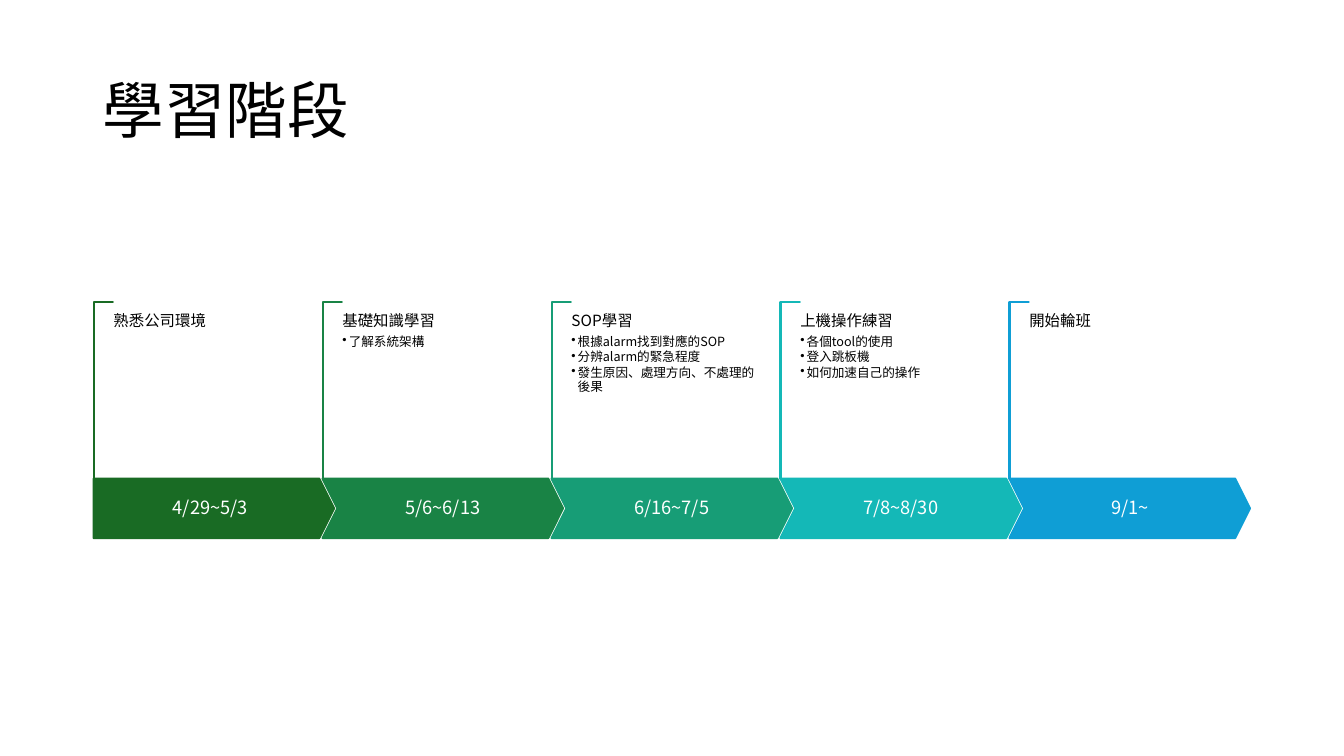
from dataclasses import dataclass

from lxml.etree import SubElement
from pptx import Presentation
from pptx.dml.color import RGBColor
from pptx.enum.shapes import MSO_SHAPE as SHAPE
from pptx.enum.text import MSO_ANCHOR as ANCHOR, MSO_AUTO_SIZE as AUTO, PP_ALIGN as ALIGN
from pptx.oxml.ns import qn
from pptx.util import Cm, Pt

TITLE = "學習階段"
STAGES = [
    ("4/29~5/3", "熟悉公司環境", []),
    ("5/6~6/13", "基礎知識學習", ["了解系統架構"]),
    ("6/16~7/5", "SOP學習",
     ["根據alarm找到對應的SOP", "分辨alarm的緊急程度", "發生原因、處理方向、不處理的後果"]),
    ("7/8~8/30", "上機操作練習", ["各個tool的使用", "登入跳板機", "如何加速自己的操作"]),
    ("9/1~", "開始輪班", []),
]


@dataclass(frozen=True)
class Theme:
    font: str = "Noto Sans CJK TC"
    last_font: str = "Lato"
    text: str = "000000"
    light: str = "FFFFFF"
    stages: tuple = ("196B24", "198345", "179D76", "14B8B7", "0F9ED5")
    title: int = 44
    date: int = 13
    heading: int = 11
    bullet: int = 9
    line: float = 1.5


THEME = Theme()

# Lengths in centimetres
LEFT, STEP = 2.36, 5.77
BAR_TOP, BAR_W, BAR_H = 12.06, 6.06, 1.5
CHEVRON_INSET = 0.37
BRACKET_TOP, BRACKET_W, BRACKET_H = 7.61, 0.48, 4.47
NOTE_LEFT, NOTE_TOP, NOTE_W, NOTE_H = 0.5, 7.9, 4.92, 2.77
HANG = 0.16


def write(tf, text, *, size, color=THEME.text, font=THEME.font,
          align=ALIGN.LEFT, after=0, bullet=False):
    """Fill the empty first paragraph, or append a new one."""
    p = tf.paragraphs[0] if not tf.text else tf.add_paragraph()
    p.alignment, p.line_spacing, p.space_after = align, 0.9, Pt(after)
    if bullet:
        p.level = 1
        pPr = p._p.get_or_add_pPr()
        pPr.set("marL", str(Cm(HANG)))
        pPr.set("indent", str(-Cm(HANG)))
        SubElement(pPr, qn("a:buChar")).set("char", "•")
    r = p.add_run()
    r.text = text
    r.font.size, r.font.name = Pt(size), font
    r.font.color.rgb = RGBColor.from_string(color)
    SubElement(r._r.get_or_add_rPr(), qn("a:ea")).set("typeface", font)


def add_box(slide, x, y, w, h, anchor=ANCHOR.TOP, pad_x=0, pad_y=0):
    tf = slide.shapes.add_textbox(Cm(x), Cm(y), Cm(w), Cm(h)).text_frame
    tf.word_wrap, tf.vertical_anchor = True, anchor
    tf.margin_left = tf.margin_right = Cm(pad_x)
    tf.margin_top = tf.margin_bottom = Cm(pad_y)
    return tf


def add_shape(slide, kind, x, y, w, h, fill, line, adjust):
    sp = slide.shapes.add_shape(kind, Cm(x), Cm(y), Cm(w), Cm(h))
    sp.shadow.inherit = False
    sp.fill.solid()
    sp.fill.fore_color.rgb = RGBColor.from_string(fill)
    sp.line.color.rgb = RGBColor.from_string(line)
    sp.line.width = Pt(THEME.line)
    for i in range(len(sp.adjustments)):
        sp.adjustments[i] = adjust
    return sp


def add_bracket(slide, x, color):
    """Draw an L shape turned a quarter, so it is placed around its centre."""
    shift = (BRACKET_H - BRACKET_W) / 2
    sp = add_shape(slide, SHAPE.CORNER, x - shift, BRACKET_TOP + shift,
                   BRACKET_H, BRACKET_W, THEME.light, color, 0.01)
    sp.rotation = 90


def add_stage(slide, i, date, heading, bullets):
    x, color = LEFT + i * STEP, THEME.stages[i]
    first, last = i == 0, i == len(STAGES) - 1
    add_bracket(slide, x, color)
    add_shape(slide, SHAPE.PENTAGON if first else SHAPE.CHEVRON,
              x, BAR_TOP, BAR_W, BAR_H, color, color, 0.25)

    inset = 0 if first else CHEVRON_INSET
    width = BAR_W - (CHEVRON_INSET / 2 if first else 2 * CHEVRON_INSET)
    tf = add_box(slide, x + inset, BAR_TOP, width, BAR_H, ANCHOR.MIDDLE, 0.23, 0.46)
    write(tf, date, size=THEME.date, color=THEME.light, align=ALIGN.CENTER)

    tf = add_box(slide, x + NOTE_LEFT, NOTE_TOP, NOTE_W, NOTE_H)
    write(tf, heading, size=THEME.heading, after=3.85,
          font=THEME.last_font if last else THEME.font)
    for text in bullets:
        write(tf, text, size=THEME.bullet, after=1.35, bullet=True)


def main():
    prs = Presentation()
    prs.slide_width, prs.slide_height = Cm(33.87), Cm(19.05)
    slide = prs.slides.add_slide(prs.slide_layouts[5])

    title = slide.shapes.title
    title.left, title.top, title.width, title.height = Cm(2.33), Cm(1.01), Cm(29.21), Cm(3.68)
    tf = title.text_frame
    tf.vertical_anchor, tf.auto_size = ANCHOR.MIDDLE, AUTO.NONE
    write(tf, TITLE, size=THEME.title)

    for i, stage in enumerate(STAGES):
        add_stage(slide, i, *stage)
    prs.save("out.pptx")


if __name__ == "__main__":
    main()
